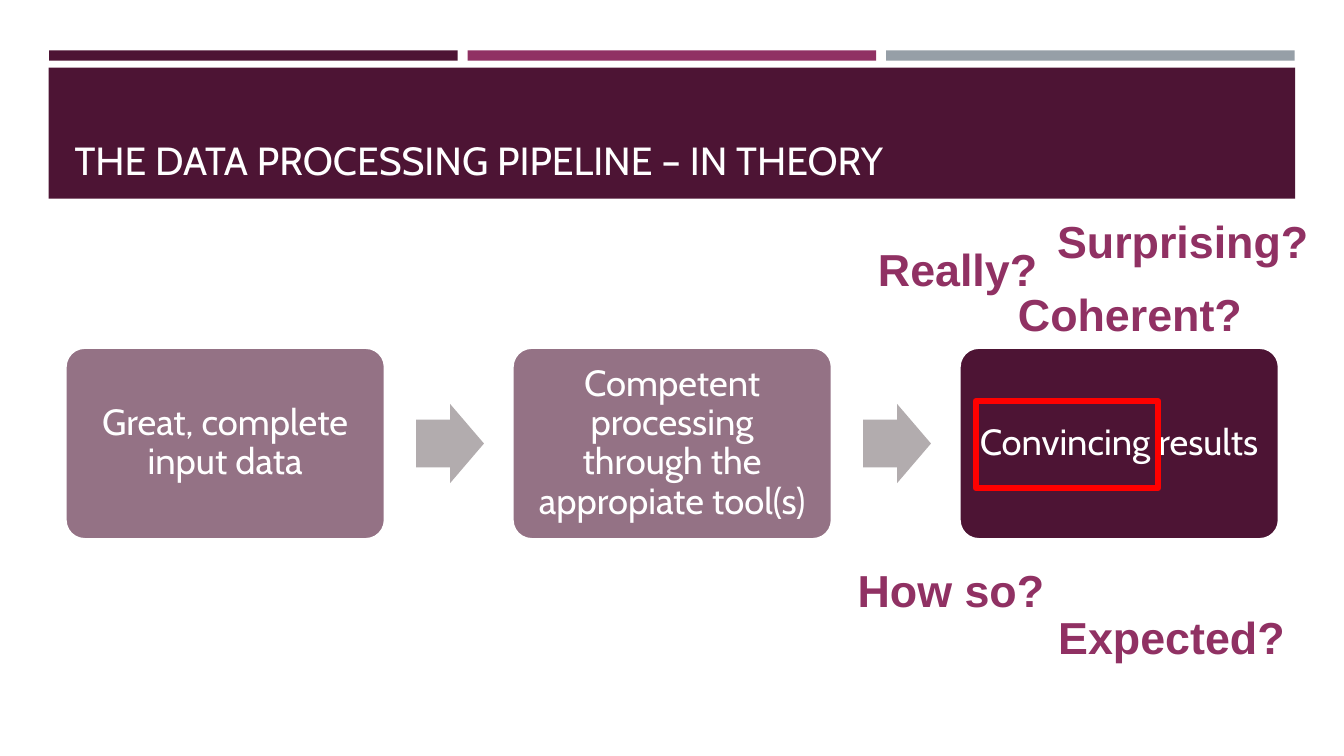
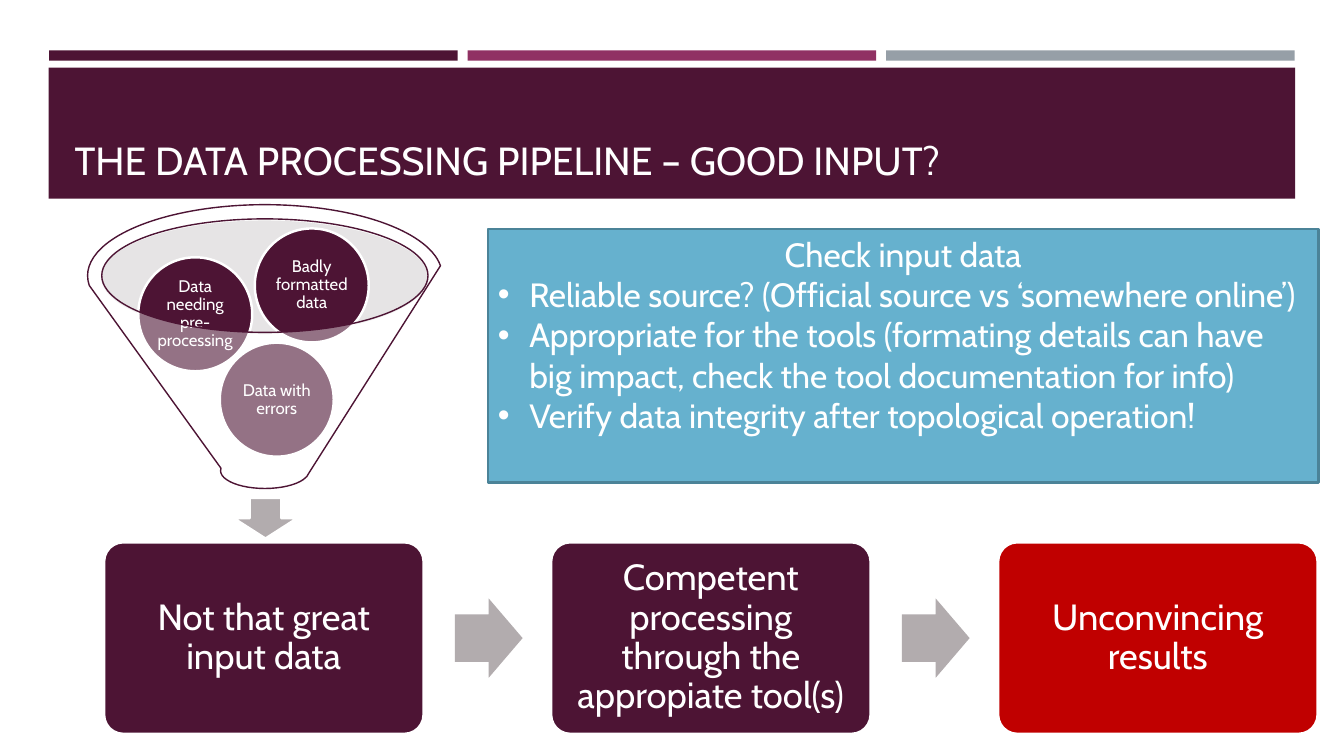
from lxml.etree import SubElement
from pptx import Presentation
from pptx.dml.color import RGBColor
from pptx.enum.shapes import MSO_SHAPE
from pptx.enum.text import MSO_ANCHOR, MSO_AUTO_SIZE, PP_ALIGN
from pptx.oxml import parse_xml
from pptx.oxml.ns import nsdecls, qn
from pptx.util import Pt

PLUM = RGBColor(0x4D, 0x14, 0x34)
MAGENTA = RGBColor(0x90, 0x31, 0x63)
SLATE = RGBColor(0x96, 0x9F, 0xA7)
ARROW_GREY = RGBColor(0xB2, 0xAC, 0xAE)
MOUTH_GREY = RGBColor(0xC2, 0xBD, 0xBF)
SKY = RGBColor(0x66, 0xB1, 0xCE)
SKY_EDGE = RGBColor(0x4B, 0x83, 0x98)
RED = RGBColor(0xFF, 0x00, 0x00)
DARK_RED = RGBColor(0xC0, 0x00, 0x00)
WHITE = RGBColor(0xFF, 0xFF, 0xFF)
MAIN_FONT, QUESTION_FONT = "Cabin", "Arial"

# Content: step text, fill, opacity in percent
THEORY_TITLE = "THE DATA PROCESSING PIPELINE – IN THEORY"
THEORY_STEPS = [
    ("Great, complete input data", PLUM, 60),
    ("Competent processing through the appropiate tool(s)", PLUM, 60),
    ("Convincing results", PLUM, 100),
]
# Question, left, top, width
QUESTIONS = [
    ("Really?", 620, 169.2, 129),
    ("Coherent?", 720, 200.9, 223),
    ("Surprising?", 748, 149, 208),
    ("Expected?", 748.8, 432, 198),
    ("How so?", 605.5, 398.2, 181),
]
INPUT_TITLE = "THE DATA PROCESSING PIPELINE – GOOD INPUT?"
INPUT_STEPS = [
    ("Not that great input data", PLUM, 100),
    ("Competent processing through the appropiate tool(s)", PLUM, 100),
    ("Unconvincing results", DARK_RED, 100),
]
# Problem, left, top
PROBLEMS = [
    ("Data with errors", 157, 244.8),
    ("Data needing pre-processing", 98.8, 183.8),
    ("Badly formatted data", 182, 163.2),
]
CHECK_HEADING = "Check input data"
CHECKS = [
    "Reliable source? (Official source vs ‘somewhere online’)",
    "Appropriate for the tools (formating details can have big impact, "
    "check the tool documentation for info)",
    "Verify data integrity after topological operation!",
]

# Geometry in points
BAND_LEFT, BAND_TOP, BAND_WIDTH, BAND_HEIGHT, BAND_PITCH = 35.2, 36, 291.8, 7.4, 298.9
STEP_WIDTH, STEP_HEIGHT, STEP_PITCH = 228.2, 136.8, 319.3
ARROW_OFFSET, ARROW_WIDTH, ARROW_HEIGHT = 250.5, 48.4, 56.6
PROBLEM_SIZE = 81.4
BULLET_INDENT = 22.5


def add_shape(slide, preset, box, fill=None, edge=None, edge_width=1.75, opacity=100):
    shape = slide.shapes.add_shape(preset, *map(Pt, box))
    shape.shadow.inherit = False
    if fill is None:
        shape.fill.background()
    else:
        shape.fill.solid()
        shape.fill.fore_color.rgb = fill
        if opacity < 100:
            colour = shape.element.spPr.find(qn("a:solidFill")).find(qn("a:srgbClr"))
            SubElement(colour, qn("a:alpha"), val=str(opacity * 1000))
    if edge is None:
        shape.line.fill.background()
    else:
        shape.line.color.rgb = edge
        shape.line.width = Pt(edge_width)
    return shape


def write(paragraph, text, size, colour=WHITE, font=MAIN_FONT, bold=False):
    run = paragraph.add_run()
    run.text = text
    run.font.size = Pt(size)
    run.font.name = font
    run.font.bold = bold
    run.font.color.rgb = colour


def set_insets(frame, inset):
    frame.margin_left = frame.margin_right = Pt(inset)
    frame.margin_top = frame.margin_bottom = Pt(inset)


def label(shape, text, size, inset):
    """Centre text inside a shape."""
    frame = shape.text_frame
    frame.word_wrap = True
    frame.vertical_anchor = MSO_ANCHOR.MIDDLE
    set_insets(frame, inset)
    paragraph = frame.paragraphs[0]
    paragraph.alignment = PP_ALIGN.CENTER
    paragraph.line_spacing = 0.9
    write(paragraph, text, size)


def style_layout(layout, slide):
    """Give the layout its bands and title style; bands are drawn on slide, then moved."""
    bands = [
        add_shape(slide, MSO_SHAPE.RECTANGLE,
                  (BAND_LEFT + i * BAND_PITCH, BAND_TOP, BAND_WIDTH, BAND_HEIGHT), colour)
        for i, colour in enumerate((PLUM, MAGENTA, SLATE))
    ]
    bands.append(add_shape(slide, MSO_SHAPE.RECTANGLE, (34.8, 48.4, 890.4, 93.6), PLUM))
    for position, band in enumerate(bands, start=2):
        layout.shapes.element.insert(position, band.element)

    title = layout.placeholders[0]
    title.left, title.top, title.width, title.height = map(Pt, (46.1, 55.4, 868.3, 79.9))
    frame = title.text_frame
    frame.vertical_anchor = MSO_ANCHOR.BOTTOM
    frame.auto_size = MSO_AUTO_SIZE.NONE
    list_style = title.element.txBody.find(qn("a:lstStyle"))
    list_style.append(parse_xml(
        f'<a:lvl1pPr {nsdecls("a")} algn="l"><a:lnSpc><a:spcPct val="90000"/></a:lnSpc>'
        f'<a:defRPr sz="2800"><a:solidFill><a:srgbClr val="{WHITE}"/></a:solidFill>'
        f'<a:latin typeface="{MAIN_FONT}"/></a:defRPr></a:lvl1pPr>'))


def add_pipeline(slide, steps, left, top):
    for i, (text, fill, opacity) in enumerate(steps):
        x = left + i * STEP_PITCH
        step = add_shape(slide, MSO_SHAPE.ROUNDED_RECTANGLE,
                         (x, top, STEP_WIDTH, STEP_HEIGHT), fill, WHITE, opacity=opacity)
        step.adjustments[0] = 0.1
        label(step, text, 26, 7.8)
        if i < len(steps) - 1:
            arrow_top = top + (STEP_HEIGHT - ARROW_HEIGHT) / 2
            arrow = add_shape(slide, MSO_SHAPE.RIGHT_ARROW,
                              (x + ARROW_OFFSET, arrow_top, ARROW_WIDTH, ARROW_HEIGHT),
                              ARROW_GREY)
            arrow.adjustments[0] = 0.6


def add_questions(slide):
    for text, left, top, width in QUESTIONS:
        question = slide.shapes.add_textbox(*map(Pt, (left, top, width, 46)))
        question.text_frame.word_wrap = True
        write(question.text_frame.paragraphs[0], text, 32, MAGENTA, QUESTION_FONT, True)


def add_funnel(slide):
    add_shape(slide, MSO_SHAPE.OVAL, (72.2, 157.5, 233.5, 81.1), MOUTH_GREY, opacity=40)
    add_shape(slide, MSO_SHAPE.DOWN_ARROW, (167, 355.7, 45.3, 29), ARROW_GREY, WHITE)
    for text, left, top in PROBLEMS:
        problem = add_shape(slide, MSO_SHAPE.OVAL,
                            (left, top, PROBLEM_SIZE, PROBLEM_SIZE), PLUM, WHITE)
        label(problem, text, 12, 1.2)
    add_shape(slide, MSO_SHAPE.FUNNEL, (62.6, 146.2, 253.3, 202.7), WHITE, PLUM, 1, 40)


def add_check_panel(slide):
    panel = add_shape(slide, MSO_SHAPE.RECTANGLE, (348.5, 163.4, 593.3, 181.4), SKY, SKY_EDGE)
    frame = panel.text_frame
    frame.word_wrap = True
    frame.vertical_anchor = MSO_ANCHOR.TOP
    heading = frame.paragraphs[0]
    heading.alignment = PP_ALIGN.CENTER
    write(heading, CHECK_HEADING, 24)
    for check in CHECKS:
        paragraph = frame.add_paragraph()
        paragraph.alignment = PP_ALIGN.LEFT
        properties = paragraph._p.get_or_add_pPr()
        properties.set("marL", str(Pt(BULLET_INDENT)))
        properties.set("indent", str(-Pt(BULLET_INDENT)))
        SubElement(properties, qn("a:buFont"), typeface=QUESTION_FONT)
        SubElement(properties, qn("a:buChar"), char="•")
        write(paragraph, check, 24)


def main():
    deck = Presentation()
    deck.slide_width, deck.slide_height = Pt(960), Pt(540)
    layout = deck.slide_layouts.get_by_name("Title Only")

    theory = deck.slides.add_slide(layout)
    style_layout(layout, theory)
    theory.shapes.title.text_frame.text = THEORY_TITLE
    add_pipeline(theory, THEORY_STEPS, 46.8, 248.4)
    add_questions(theory)
    add_shape(theory, MSO_SHAPE.RECTANGLE, (697, 286.6, 130.3, 61.9), edge=RED, edge_width=4.5)

    good_input = deck.slides.add_slide(layout)
    good_input.shapes.title.text_frame.text = INPUT_TITLE
    add_funnel(good_input)
    add_pipeline(good_input, INPUT_STEPS, 74.4, 387.4)
    add_check_panel(good_input)

    deck.save("out.pptx")


if __name__ == "__main__":
    main()
